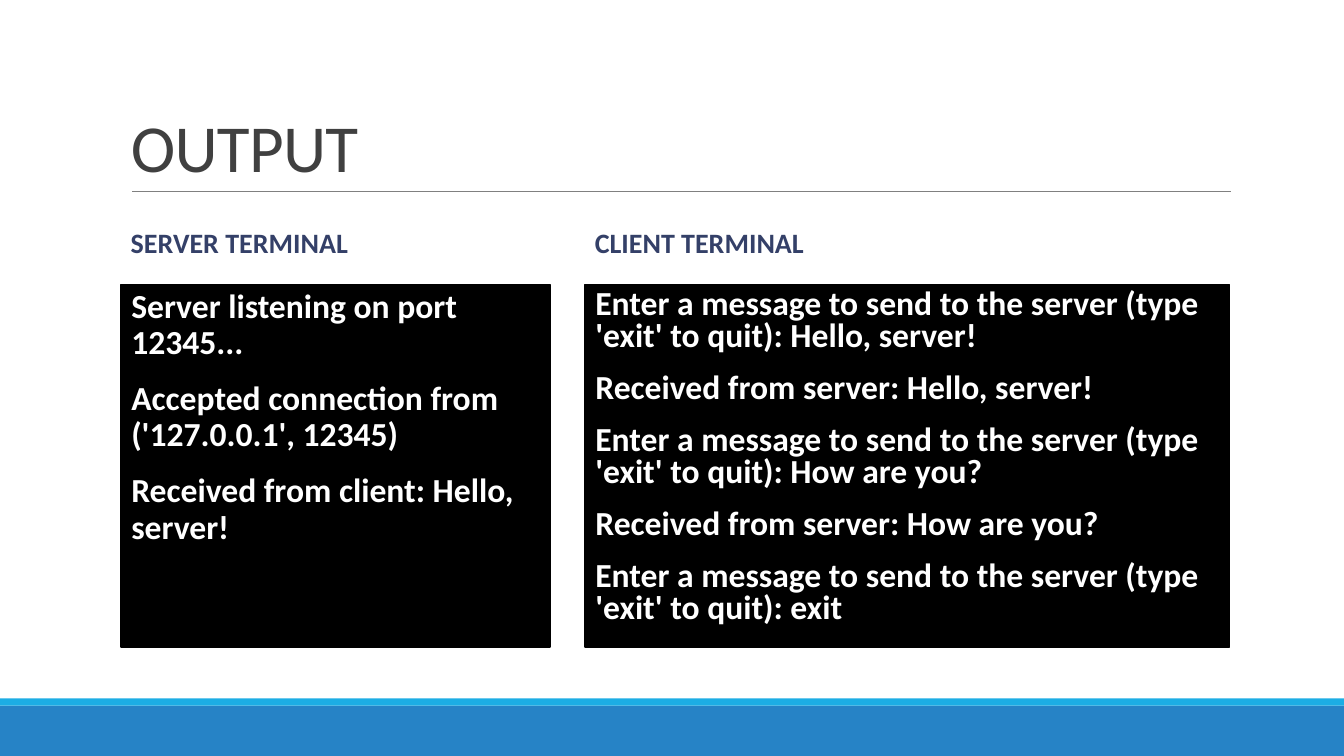
from pptx import Presentation
from pptx.dml.color import RGBColor
from pptx.enum.shapes import MSO_CONNECTOR, MSO_SHAPE
from pptx.enum.text import MSO_ANCHOR, MSO_AUTO_SIZE, PP_ALIGN
from pptx.oxml.ns import qn
from pptx.util import Emu, Pt
from lxml.etree import SubElement

PX = 9525
FONT = "Calibri"
BLACK = RGBColor(0x00, 0x00, 0x00)
WHITE = RGBColor(0xFF, 0xFF, 0xFF)
GREY = RGBColor(0x80, 0x80, 0x80)
TITLE_GREY = RGBColor(0x40, 0x40, 0x40)
NAVY = RGBColor(0x34, 0x40, 0x68)
BLUE = RGBColor(0x26, 0x83, 0xC6)
CYAN = RGBColor(0x1C, 0xAD, 0xE4)

SERVER_OUTPUT = [
    "Server listening on port 12345...",
    "Accepted connection from ('127.0.0.1', 12345)",
    "Received from client: Hello, server!",
]
PROMPT = "Enter a message to send to the server (type 'exit' to quit): "
CLIENT_OUTPUT = [
    PROMPT + "Hello, server!",
    "Received from server: Hello, server!",
    PROMPT + "How are you?",
    "Received from server: How are you?",
    PROMPT + "exit",
]


def px(*lengths):
    return [Emu(length * PX) for length in lengths]


def write(frame, lines, size, color, bold, spacing, anchor):
    frame.word_wrap = True
    frame.auto_size = MSO_AUTO_SIZE.NONE
    frame.vertical_anchor = anchor
    frame.text = "\n".join(lines)
    for index, paragraph in enumerate(frame.paragraphs):
        paragraph.alignment = PP_ALIGN.LEFT
        paragraph.line_spacing = spacing
        paragraph.space_before = Pt(12 if index else 0)
        paragraph.space_after = Pt(2)
        for run in paragraph.runs:
            run.font.name = FONT
            run.font.size = Pt(size)
            run.font.bold = bold
            run.font.color.rgb = color


def add_block(slide, box, color):
    block = slide.shapes.add_shape(MSO_SHAPE.RECTANGLE, *px(*box))
    block.shadow.inherit = False
    block.fill.solid()
    block.fill.fore_color.rgb = color
    block.line.fill.background()
    return block


def add_rule(slide, ends):
    rule = slide.shapes.add_connector(MSO_CONNECTOR.STRAIGHT, *px(*ends))
    rule.line.color.rgb = GREY
    rule.line.width = Pt(0.5)
    SubElement(rule._element.spPr, qn("a:effectLst"))


def set_title(slide, text):
    title = slide.shapes.title
    title.left, title.top, title.width, title.height = px(115, 30, 1056, 152)
    write(title.text_frame, [text], 48, TITLE_GREY, False, 0.85, MSO_ANCHOR.BOTTOM)
    title.text_frame.paragraphs[0].space_after = Pt(0)
    title.text_frame.paragraphs[0].runs[0].font._element.set("spc", "-50")


def add_terminal(slide, left, width, heading, output, spacing):
    label = slide.shapes.add_textbox(*px(left, 194, width, 77))
    write(label.text_frame, [heading], 20, NAVY, True, 0.9, MSO_ANCHOR.MIDDLE)
    screen = add_block(slide, (left, 271, width, 345), BLACK)
    screen.line.color.rgb = BLACK
    screen.line.width = Pt(1.25)
    frame = screen.text_frame
    frame.margin_left, frame.margin_right = px(10, 0)
    write(frame, output, 24, WHITE, True, spacing, MSO_ANCHOR.TOP)


def main():
    presentation = Presentation()
    presentation.slide_width, presentation.slide_height = px(1280, 720)
    slide = presentation.slides.add_slide(presentation.slide_layouts[5])
    add_block(slide, (0, 672, 1280, 48), BLUE)
    add_block(slide, (0, 665, 1280, 7), CYAN)
    add_rule(slide, (126, 182, 1172, 182))
    set_title(slide, "OUTPUT")
    add_terminal(slide, 115, 409, "SERVER TERMINAL", SERVER_OUTPUT, 0.9)
    add_terminal(slide, 557, 614, "CLIENT TERMINAL", CLIENT_OUTPUT, 0.8)
    presentation.save("out.pptx")


if __name__ == "__main__":
    main()
